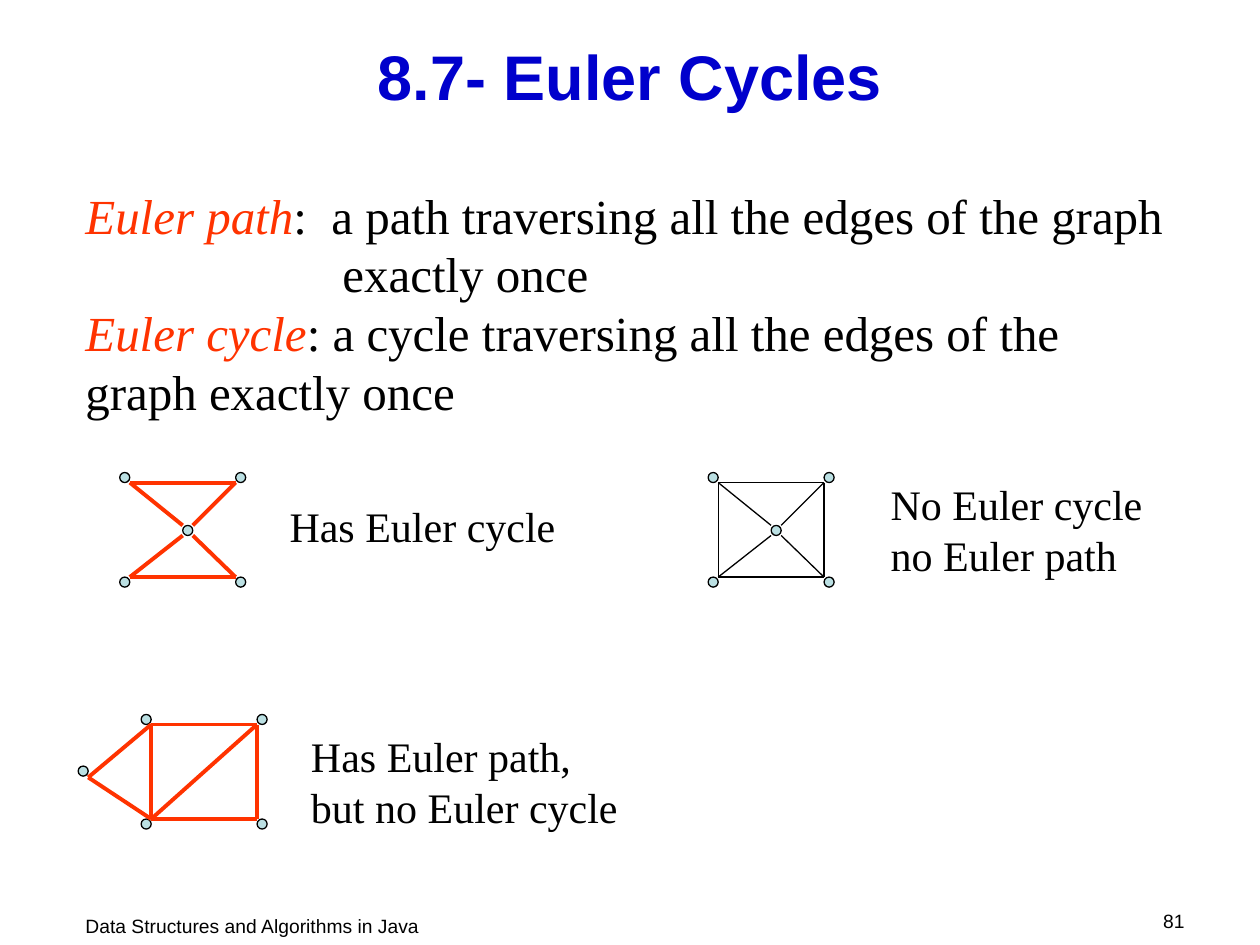
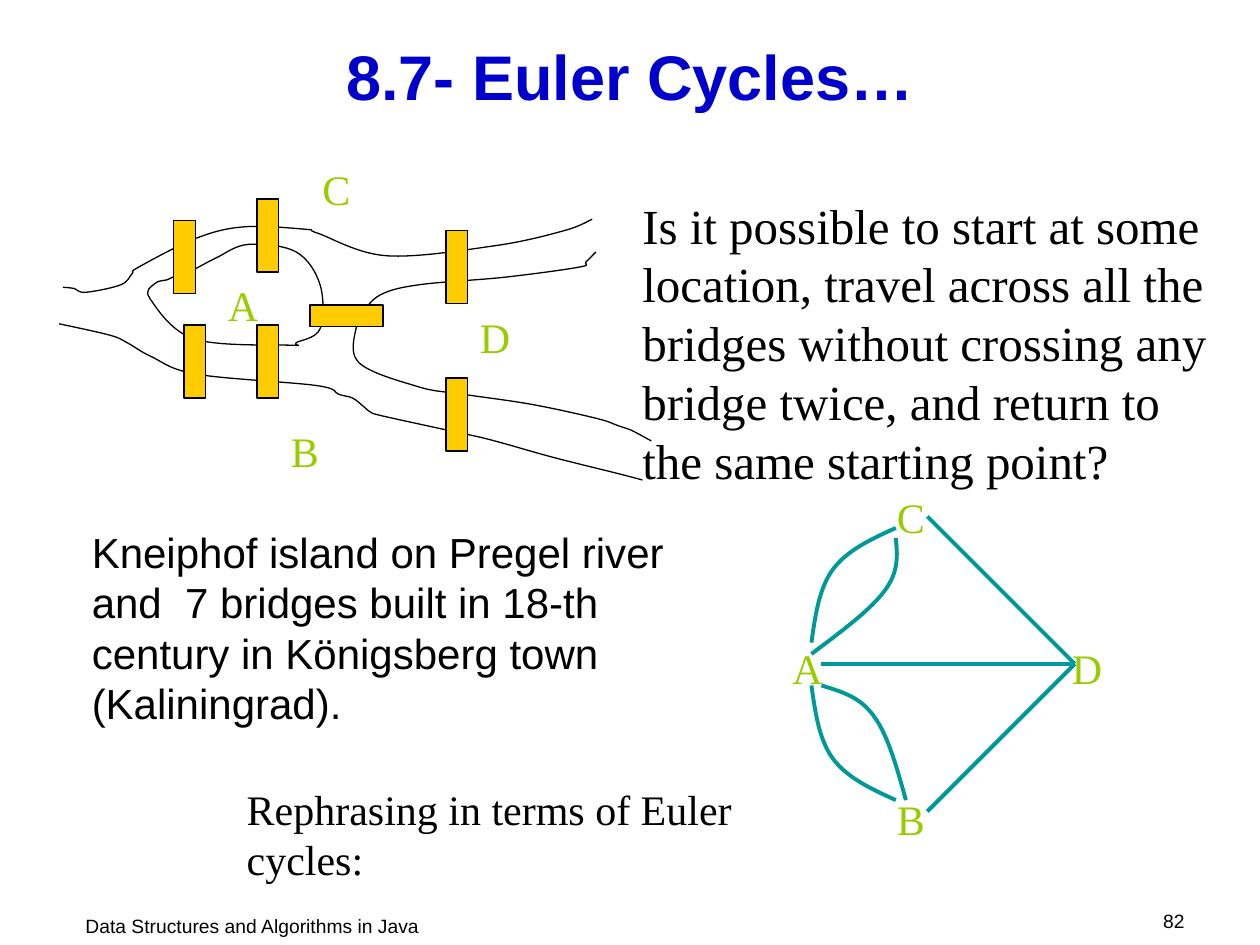
from pptx import Presentation
from pptx.dml.color import RGBColor
from pptx.enum.shapes import MSO_CONNECTOR as CONN, MSO_SHAPE as SHAPE
from pptx.enum.text import MSO_ANCHOR as ANCHOR, PP_ALIGN as ALIGN
from pptx.oxml.ns import qn
from pptx.util import Inches, Pt
from lxml import etree

BLACK, BLUE, RED = "000000", "0000CC", "FF3300"
NODE, BRIDGE, GREEN, TEAL = "BBE0E3", "FFCC00", "99CC00", "009999"
SANS, SERIF = "Arial", "Times New Roman"
THIN, THICK = 0.75, 2.25

TITLE = dict(name=SANS, size=Pt(36), bold=True, color=BLUE)
FOOTER = dict(name=SANS, size=Pt(11), color=BLACK)
BODY = dict(name=SERIF, size=Pt(28), color=BLACK)
TERM = dict(BODY, italic=True, color=RED)
CAPTION = dict(name=SERIF, size=Pt(24), color=BLACK)
NOTE = dict(CAPTION, name=SANS)
LABEL = dict(CAPTION, color=GREEN)

# Graph geometry, relative to the top left vertex
CORNERS = [(0, 0), (0, 0.83), (0.92, 0), (0.92, 0.83)]
TL, TR, BL, BR = (0.08, 0.08), (0.92, 0.08), (0.08, 0.83), (0.92, 0.83)
HUB, TIP = (0.5, 0.42), (-0.5, 0.41)
TOP, BOTTOM, LEFT, RIGHT = (TL, TR), (BL, BR), (TL, BL), (TR, BR)
SPOKES = [(TL, HUB), (TR, (0.58, 0.42)), (BL, (0.5, 0.5)), (BR, (0.58, 0.5))]
TIP_EDGES = [(TL, (-0.42, 0.5)), (BL, (-0.42, 0.5))]

# Bridges: left, top, and whether upright
BRIDGES = [(1.38, 1.75, True), (2.04, 1.58, True), (1.46, 2.58, True),
           (2.04, 2.58, True), (3.54, 1.83, True), (3.54, 3, True),
           (2.46, 2.42, False)]
ISLAND = [(1.37, 2.2), (1.48, 2.17), (1.71, 2.05), (1.97, 1.94), (2.35, 2),
          (2.54, 2.26), (2.54, 2.61), (2.35, 2.72), (2.31, 2.74),
          (1.54, 2.69), (1.19, 2.37), (1.23, 2.25), (1.33, 2.22)]
EAST_BANK = [(4.73, 2), (4.65, 2.08), (4.6, 2.12), (4.01, 2.2), (3.33, 2.26),
             (3.02, 2.34), (2.87, 2.49), (2.84, 2.54), (2.84, 2.87),
             (3.32, 3.07), (3.68, 3.13), (4.22, 3.21), (4.73, 3.32),
             (4.91, 3.38), (5, 3.41), (5.17, 3.5)]
NORTH_BANK = [(0.5, 2.28), (0.59, 2.29), (0.68, 2.32), (0.96, 2.26),
              (1.05, 2.17), (1.1, 2.12), (1.56, 1.89), (1.94, 1.8),
              (2.43, 1.82), (2.52, 1.85), (3.07, 2.03), (3.93, 1.95),
              (4.48, 1.83), (4.7, 1.74)]
SOUTH_BANK = [(0.47, 2.57), (0.87, 2.66), (1.01, 2.72), (1.2, 2.83),
              (1.56, 2.97), (2.51, 3.06), (2.69, 3.13), (2.8, 3.16),
              (2.89, 3.23), (2.94, 3.27), (3.03, 3.3), (3.53, 3.41),
              (3.89, 3.49), (4.39, 3.63), (4.91, 3.76), (5.1, 3.81)]
# Bezier control points of the parallel edges A-C and A-B
ARCS = [
    [(6.44, 5.1), (6.47, 4.89), (6.5, 4.67), (6.61, 4.52),
     (6.72, 4.37), (6.91, 4.28), (7.11, 4.19)],
    [(7.11, 4.27), (7.12, 4.4), (7.14, 4.53), (7.02, 4.69),
     (6.91, 4.84), (6.68, 5.01), (6.44, 5.19)],
    [(6.44, 5.44), (6.47, 5.65), (6.5, 5.87), (6.61, 6.02),
     (6.72, 6.17), (6.91, 6.26), (7.11, 6.35)],
    [(6.52, 5.44), (6.68, 5.49), (6.83, 5.53), (6.94, 5.69),
     (7.05, 5.84), (7.12, 6.1), (7.19, 6.35)],
]


def rgb(color):
    return RGBColor.from_string(color)


def style(font, fmt):
    for key, value in fmt.items():
        if key == "color":
            font.color.rgb = rgb(value)
        else:
            setattr(font, key, value)


def add_run(p, text, fmt):
    r = p.add_run()
    r.text = text
    style(r.font, fmt)


def add_text(s, x, y, w, h, lines, fmt, align=ALIGN.LEFT):
    """Add one paragraph per line; a line is a string or (text, format) runs."""
    tf = s.shapes.add_textbox(*map(Inches, (x, y, w, h))).text_frame
    tf.word_wrap = True
    for i, line in enumerate(lines):
        p = tf.paragraphs[0] if i == 0 else tf.add_paragraph()
        p.alignment = align
        for text, run_fmt in [(line, fmt)] if isinstance(line, str) else line:
            add_run(p, text, run_fmt)
    return tf


def outline(shape, color, width):
    shape.line.color.rgb = rgb(color)
    shape.line.width = Pt(width)


def add_block(s, kind, x, y, w, h, fill):
    sp = s.shapes.add_shape(kind, *map(Inches, (x, y, w, h)))
    sp.shadow.inherit = False
    sp.fill.solid()
    sp.fill.fore_color.rgb = rgb(fill)
    outline(sp, BLACK, THIN)


def add_line(s, start, end, color, width):
    line = s.shapes.add_connector(CONN.STRAIGHT, *map(Inches, start + end))
    outline(line, color, width)
    etree.SubElement(line._element.spPr, qn("a:effectLst"))


def add_graph(s, x, y, vertices, edges, color, width):
    for dx, dy in vertices:
        add_block(s, SHAPE.OVAL, x + dx, y + dy, 0.08, 0.08, NODE)
    for edge in edges:
        start, end = [(x + dx, y + dy) for dx, dy in edge]
        add_line(s, start, end, color, width)


def smooth_controls(points, closed=False):
    """Bezier control points of a smooth curve through the given points."""
    if closed:
        padded = [points[-1], *points, *points[:2]]
    else:
        padded = [points[0], *points, points[-1]]
    controls = [padded[1]]
    for a, b, c, d in zip(padded, padded[1:], padded[2:], padded[3:]):
        controls += [tuple(q + (r - p) / 6 for p, q, r in zip(a, b, c)),
                     tuple(q - (r - p) / 6 for p, q, r in zip(b, c, d)), c]
    return controls


def add_curve(s, controls, color, width, closed=False):
    """Draw a freeform through every third point, then bend its segments."""
    points = [(Inches(x), Inches(y)) for x, y in controls]
    builder = s.shapes.build_freeform(*points[0])
    builder.add_line_segments(points[3::3], close=closed)
    sp = builder.convert_to_shape()
    segments = list(sp._element.iter(qn("a:lnTo")))
    for i, segment in enumerate(segments):
        bend = etree.Element(qn("a:cubicBezTo"))
        for x, y in points[3 * i + 1:3 * i + 4]:
            etree.SubElement(bend, qn("a:pt"),
                             x=str(x - sp.left), y=str(y - sp.top))
        segment.getparent().replace(segment, bend)
    sp.shadow.inherit = False
    sp.fill.background()
    outline(sp, color, width)


def add_slide(prs, title, number):
    s = prs.slides.add_slide(prs.slide_layouts[5])
    sp = s.shapes.title
    sp.left, sp.top, sp.width, sp.height = map(Inches, (0.5, 0.29, 9, 0.62))
    tf = sp.text_frame
    tf.vertical_anchor = ANCHOR.MIDDLE
    p = tf.paragraphs[0]
    p.alignment = ALIGN.CENTER
    add_run(p, title, TITLE)
    add_text(s, 0.58, 7.21, 5.67, 0.29,
             ["Data Structures and Algorithms in Java"], FOOTER)
    add_text(s, 8.75, 7.17, 0.75, 0.25, [str(number)], FOOTER, ALIGN.RIGHT)
    return s


def build_definitions(prs):
    s = add_slide(prs, "8.7- Euler Cycles", 81)
    tf = add_text(s, 0.58, 1.42, 8.83, 2.46, [
        [("Euler path", TERM),
         (":  a path traversing all the edges of the graph", BODY)],
        "exactly once",
        [("Euler cycle", TERM),
         (": a cycle traversing all the edges of the graph exactly once",
          BODY)],
    ], BODY)
    tf.paragraphs[1]._p.get_or_add_pPr().set("marL", str(Inches(2.04)))

    # Example graphs with their verdicts
    bowtie = [TOP, BOTTOM, *SPOKES]
    add_graph(s, 0.95, 3.75, CORNERS + [HUB], bowtie, RED, THICK)
    add_graph(s, 5.62, 3.75, CORNERS + [HUB], bowtie + [LEFT, RIGHT],
              BLACK, THIN)
    add_graph(s, 1.12, 5.67, CORNERS + [TIP],
              [TOP, BOTTOM, LEFT, RIGHT, (TR, BL), *TIP_EDGES], RED, THICK)
    add_text(s, 2.2, 3.92, 2.4, 0.5, ["Has Euler cycle"], CAPTION)
    add_text(s, 6.97, 3.75, 2.3, 0.9,
             ["No Euler cycle", "no Euler path"], CAPTION)
    add_text(s, 2.37, 5.75, 2.8, 0.9,
             ["Has Euler path,", "but no Euler cycle"], CAPTION)


def build_bridges(prs):
    s = add_slide(prs, "8.7- Euler Cycles…", 82)

    # River map
    add_curve(s, smooth_controls(ISLAND, True), BLACK, THIN, closed=True)
    for bank in (EAST_BANK, NORTH_BANK, SOUTH_BANK):
        add_curve(s, smooth_controls(bank), BLACK, THIN)
    for x, y, upright in BRIDGES:
        w, h = (0.17, 0.58) if upright else (0.58, 0.17)
        add_block(s, SHAPE.RECTANGLE, x, y, w, h, BRIDGE)

    # Land labels on the map, then on the graph
    for name, x, y in [("A", 1.71, 2.17), ("C", 2.46, 1.25),
                       ("B", 2.21, 3.33), ("D", 3.71, 2.42),
                       ("C", 7.02, 3.85), ("A", 6.19, 5.05),
                       ("D", 8.41, 5.05), ("B", 7.02, 6.25)]:
        add_text(s, x, y, 0.5, 0.5, [name], LABEL)

    # Question and notes
    add_text(s, 5, 1.5, 4.9, 2.46, [
        "Is it possible to start at some", "location, travel across all the",
        "bridges without crossing any", "bridge twice, and return to",
        "the same starting point?"], BODY)
    add_text(s, 1.86, 6.17, 4.8, 0.9,
             ["Rephrasing in terms of Euler cycles:"], CAPTION)
    add_text(s, 0.63, 4.13, 5.08, 1.72, [
        "Kneiphof island on Pregel river and  7 bridges built in 18-th "
        "century in Königsberg town (Kaliningrad)."], NOTE)

    # Bridge graph
    c, d, b = (7.36, 4.1), (8.53, 5.27), (7.36, 6.44)
    for start in (c, (6.52, 5.27), b):
        add_line(s, start, d, TEAL, THICK)
    for arc in ARCS:
        add_curve(s, arc, TEAL, THICK)


def main():
    prs = Presentation()
    prs.slide_width, prs.slide_height = Inches(10), Inches(7.5)
    build_definitions(prs)
    build_bridges(prs)
    prs.save("out.pptx")


if __name__ == "__main__":
    main()
